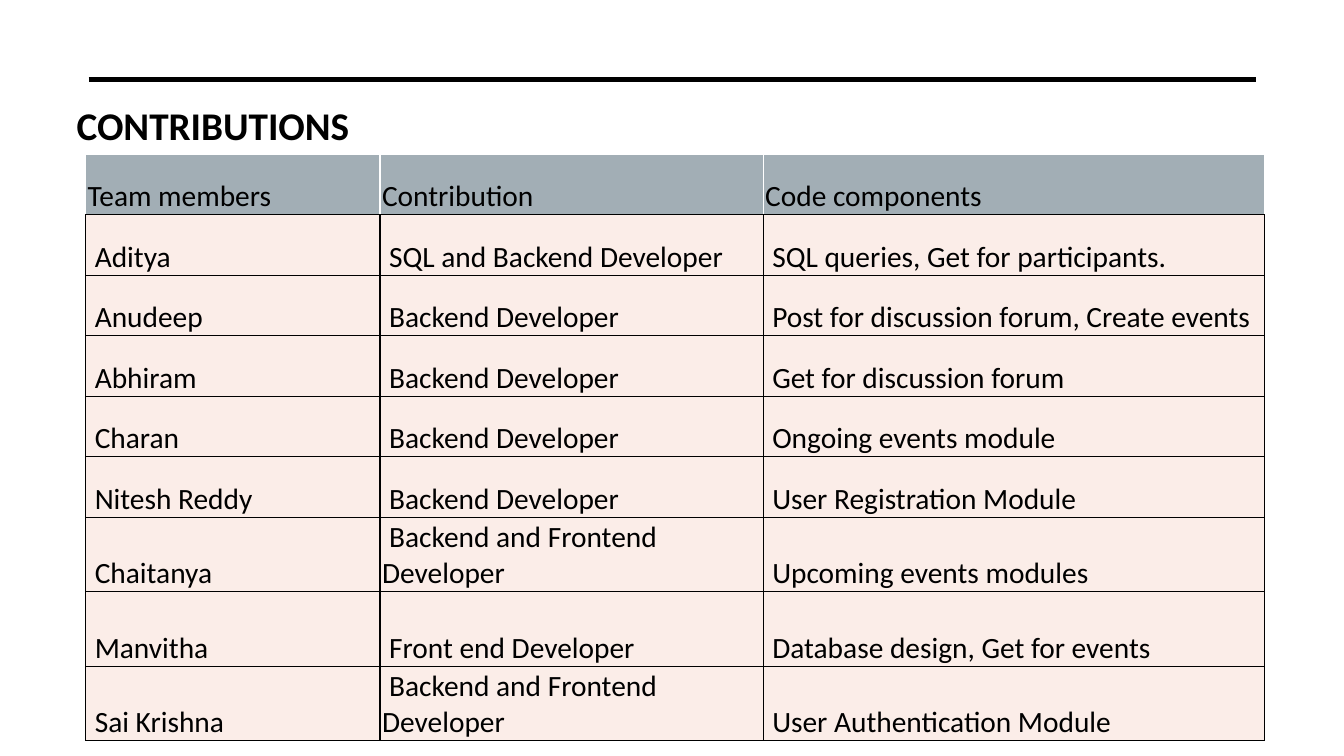
from lxml.etree import SubElement
from pptx import Presentation
from pptx.dml.color import RGBColor
from pptx.enum.shapes import MSO_CONNECTOR
from pptx.enum.text import MSO_ANCHOR, PP_ALIGN
from pptx.oxml.ns import qn
from pptx.util import Inches, Pt

TITLE = "CONTRIBUTIONS"
HEADER = ("Team members", "Contribution", "Code components")
MEMBERS = [
    ("Aditya", "SQL and Backend Developer", "SQL queries, Get for participants."),
    ("Anudeep", "Backend Developer", "Post for discussion forum, Create events"),
    ("Abhiram", "Backend Developer", "Get for discussion forum"),
    ("Charan", "Backend Developer", "Ongoing events module"),
    ("Nitesh Reddy", "Backend Developer", "User Registration Module"),
    ("Chaitanya", "Backend and Frontend Developer", "Upcoming events modules"),
    ("Manvitha", "Front end Developer", "Database design, Get for events"),
    ("Sai Krishna", "Backend and Frontend Developer", "User Authentication Module"),
]
COLUMN_WIDTHS = (2.92, 3.8, 4.97)
ROW_HEIGHTS = [0.6] * 6 + [0.74] * 3
FONT = "Calibri"
BLACK, WHITE = "000000", "FFFFFF"
HEADER_FILL, BODY_FILL = "A2AEB5", "FBEDE8"


def color(value):
    return RGBColor.from_string(value)


def add_run(paragraph, text, size, bold=False):
    run = paragraph.add_run()
    run.text = text
    run.font.name = FONT
    run.font.size = Pt(size)
    run.font.bold = bold
    run.font.color.rgb = color(BLACK)


def set_borders(cell, side_colors):
    properties = cell._tc.get_or_add_tcPr()
    for position, (side, value) in enumerate(side_colors.items()):
        line = properties.makeelement(qn(f"a:{side}"), {"w": str(Pt(1))})
        fill = SubElement(line, qn("a:solidFill"))
        SubElement(fill, qn("a:srgbClr"), val=value)
        properties.insert(position, line)


def fill_cell(cell, text, is_header):
    cell.fill.solid()
    cell.fill.fore_color.rgb = color(HEADER_FILL if is_header else BODY_FILL)
    cell.vertical_anchor = MSO_ANCHOR.BOTTOM
    cell.margin_left = cell.margin_right = cell.margin_top = Inches(0.02)
    cell.margin_bottom = 0
    paragraph = cell.text_frame.paragraphs[0]
    if not is_header:
        paragraph._p.get_or_add_pPr().set("indent", str(Inches(0.07)))
    add_run(paragraph, text, 21)
    edge = WHITE if is_header else BLACK
    set_borders(cell, {"lnL": edge, "lnR": edge, "lnT": edge, "lnB": BLACK})
    if not is_header:
        return


def add_title(slide):
    title = slide.shapes.title
    title.left, title.top = Inches(0.66), Inches(0.95)
    title.width, title.height = Inches(11.69), Inches(0.8)
    frame = title.text_frame
    frame.word_wrap = True
    frame.vertical_anchor = MSO_ANCHOR.TOP
    frame.margin_left = frame.margin_right = Inches(0.1)
    frame.margin_top = frame.margin_bottom = Inches(0.05)
    paragraph = frame.paragraphs[0]
    paragraph.alignment = PP_ALIGN.LEFT
    add_run(paragraph, TITLE, 28, bold=True)


def add_rule(slide):
    rule = slide.shapes.add_connector(
        MSO_CONNECTOR.STRAIGHT, Inches(0.88), Inches(0.79), Inches(12.46), Inches(0.79))
    rule.line.color.rgb = color(BLACK)
    rule.line.width = Pt(3.5)
    SubElement(rule._element.spPr, qn("a:effectLst"))


def add_contributions(slide):
    rows = [HEADER, *MEMBERS]
    table = slide.shapes.add_table(
        len(rows), len(HEADER), Inches(0.85), Inches(1.53),
        Inches(sum(COLUMN_WIDTHS)), Inches(sum(ROW_HEIGHTS))).table
    table.horz_banding = False
    for column, width in zip(table.columns, COLUMN_WIDTHS):
        column.width = Inches(width)
    for row_index, (row, height) in enumerate(zip(rows, ROW_HEIGHTS)):
        table.rows[row_index].height = Inches(height)
        for column_index, text in enumerate(row):
            fill_cell(table.cell(row_index, column_index), text, row_index == 0)


def main():
    presentation = Presentation()
    presentation.slide_width = Inches(13.33)
    presentation.slide_height = Inches(7.5)
    slide = presentation.slides.add_slide(presentation.slide_layouts[5])
    add_rule(slide)
    add_title(slide)
    add_contributions(slide)
    presentation.save("out.pptx")


if __name__ == "__main__":
    main()
